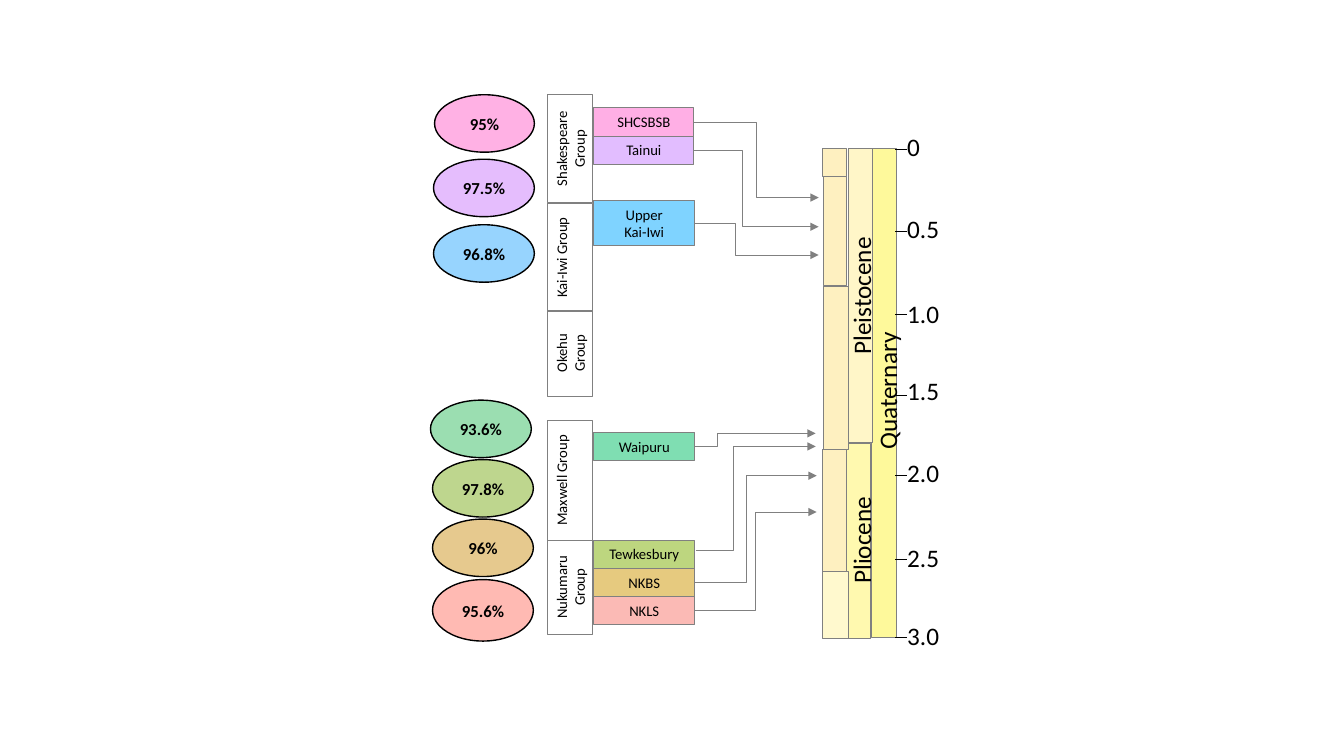
from lxml import etree
from pptx import Presentation
from pptx.dml.color import RGBColor
from pptx.enum.shapes import MSO_CONNECTOR as LINK, MSO_SHAPE as SHAPE
from pptx.enum.text import MSO_ANCHOR as ANCHOR, MSO_AUTO_SIZE as AUTO, PP_ALIGN as ALIGN
from pptx.oxml.ns import qn
from pptx.util import Inches, Pt

COLORS = {
    "black": "000000", "grey": "808080",
    "quaternary": "FEF99B", "pliocene": "FFF9AF", "pleistocene": "FFF6C8",
    "stage": "FEF0C0", "oldest stage": "FFF9CE",
    "SHCSBSB": "FF61CD", "Tainui": "C77CFF", "Upper\nKai-Iwi": "01A9FF",
    "Waipuru": "00BE67", "Tewkesbury": "7CAF00", "NKBS": "CE9600", "NKLS": "F9766D",
    "95%": "FFB1E4", "97.5%": "E5BDFD", "96.8%": "97D4FE", "93.6%": "9BDEB1",
    "97.8%": "BED68E", "96%": "E6C98E", "95.6%": "FFBAB3",
}

# label, top of its text, height of its tick
AGES = [("0", 1.25, 1.48), ("0.5", 2.07, 2.3), ("1.0", 2.91, 3.12), ("1.5", 3.67, 3.92),
        ("2.0", 4.49, 4.72), ("2.5", 5.33, 5.55), ("3.0", 6.1, 6.32)]
# colour, left, top, width, height
TIME_BLOCKS = [
    ("pliocene", 8.38, 4.4, 0.25, 1.93), ("pleistocene", 8.41, 1.47, 0.24, 2.92),
    ("oldest stage", 8.16, 5.67, 0.25, 0.66), ("stage", 8.17, 2.84, 0.24, 1.62),
    ("stage", 8.16, 4.46, 0.24, 1.21), ("stage", 8.17, 1.75, 0.23, 1.08),
    ("stage", 8.16, 1.47, 0.24, 0.28)]
# name, left, top, height
TIME_NAMES = [("Quaternary", 8.6, 1.48, 4.8), ("Pliocene", 8.34, 4.4, 1.92),
              ("Pleistocene", 8.34, 1.48, 2.91)]
# name, top, height
GROUPS = [("Shakespeare Group", 0.94, 1.07), ("Kai-Iwi Group", 2.02, 1.07),
          ("Okehu Group", 3.08, 0.85), ("Maxwell Group", 4.17, 1.19),
          ("Nukumaru Group", 5.36, 0.93)]
# name, top, width, height
FORMATIONS = [("NKLS", 5.92, 1, 0.28), ("NKBS", 5.64, 1, 0.28), ("Tewkesbury", 5.36, 1, 0.28),
              ("Waipuru", 4.29, 1, 0.28), ("Upper\nKai-Iwi", 1.99, 1, 0.45),
              ("Tainui", 1.35, 0.99, 0.28), ("SHCSBSB", 1.07, 0.99, 0.28)]
# start x and y, end x and y, share of the width before the bend
AGE_ARROWS = [
    (6.89, 6.06, 8.1, 5.08, 0.5), (6.89, 5.78, 8.1, 4.72, 0.423),
    (6.9, 5.46, 8.09, 4.43, 0.312), (6.89, 2.22, 8.12, 2.53, 0.33),
    (6.89, 4.43, 8.09, 4.3, 0.19), (6.88, 1.49, 8.12, 2.25, 0.387),
    (6.88, 1.21, 8.12, 1.96, 0.5)]
# share, left, top, width, height
SHARES = [("95.6%", 4.29, 5.75, 1, 0.61), ("96%", 4.29, 5.15, 1, 0.57),
          ("97.8%", 4.29, 4.56, 1, 0.57), ("93.6%", 4.27, 3.97, 1, 0.57),
          ("96.8%", 4.3, 2.23, 1, 0.57), ("97.5%", 4.3, 1.58, 1, 0.57),
          ("95%", 4.31, 0.94, 0.99, 0.57)]


def rgb(name):
    return RGBColor.from_string(COLORS[name])


def write(shape, text, size, align=ALIGN.CENTER, bold=False):
    frame = shape.text_frame
    frame.text = text
    frame.word_wrap = True
    frame.vertical_anchor = ANCHOR.TOP
    frame.auto_size = AUTO.SHAPE_TO_FIT_TEXT
    for paragraph in frame.paragraphs:
        paragraph.alignment = align
        for run in paragraph.runs:
            run.font.name = "Calibri"
            run.font.size = Pt(size)
            run.font.bold = bold
            run.font.color.rgb = rgb("black")


def add_block(slide, box, fill=None, line="grey", weight=0.5, kind=SHAPE.RECTANGLE):
    block = slide.shapes.add_shape(kind, *map(Inches, box))
    block.shadow.inherit = False
    if fill:
        block.fill.solid()
        block.fill.fore_color.rgb = rgb(fill)
    else:
        block.fill.background()
    block.line.color.rgb = rgb(line)
    block.line.width = Pt(weight)
    return block


def make_half_transparent(block):
    color = block.fill._xPr.find(qn("a:solidFill"))[0]
    etree.SubElement(color, qn("a:alpha"), val="50000")


def upright(left, top, width, height):
    """Box that covers the given area once it is turned by 270 degrees."""
    return left + (width - height) / 2, top + (height - width) / 2, height, width


def add_text(slide, text, box, align=ALIGN.LEFT):
    label = slide.shapes.add_textbox(*map(Inches, box))
    write(label, text, 18, align)
    return label


def add_line(slide, ends, color, kind=LINK.STRAIGHT):
    line = slide.shapes.add_connector(kind, *map(Inches, ends))
    line.line.color.rgb = rgb(color)
    line.line.width = Pt(0.5)
    etree.SubElement(line._element.spPr, qn("a:effectLst"))
    return line


def add_age_arrow(slide, ends, bend):
    arrow = add_line(slide, ends, "grey", LINK.ELBOW)
    etree.SubElement(arrow.line._get_or_add_ln(), qn("a:tailEnd"), type="triangle")
    adjustments = arrow._element.spPr.find(qn("a:prstGeom")).get_or_add_avLst()
    etree.SubElement(adjustments, qn("a:gd"), name="adj1", fmla=f"val {round(bend * 100000)}")


def add_time_scale(slide):
    for age, top, _ in AGES:
        add_text(slide, age, (8.9, top, 0.83, 0.46))
    add_block(slide, (8.64, 1.47, 0.25, 4.85), "quaternary")
    for _, _, tick in AGES:
        add_line(slide, (8.88, tick, 9, tick), "black")
    for fill, *box in TIME_BLOCKS:
        add_block(slide, box, fill)
    for name, left, top, height in TIME_NAMES:
        label = add_text(slide, name, upright(left, top, 0.34, height), ALIGN.CENTER)
        label.rotation = 270


def add_rock_column(slide):
    for name, top, height in GROUPS:
        group = add_block(slide, upright(5.43, top, 0.45, height), weight=0.75)
        group.rotation = 270
        write(group, name, 10.5)
    for name, top, width, height in FORMATIONS:
        formation = add_block(slide, (5.89, top, width, height), name, weight=0.75)
        make_half_transparent(formation)
        write(formation, name, 10.5)


def add_shares(slide):
    for share, *box in SHARES:
        oval = add_block(slide, box, share, "black", 1, SHAPE.OVAL)
        write(oval, share, 12, bold=True)
        oval.text_frame.auto_size = AUTO.NONE
        oval.text_frame.vertical_anchor = ANCHOR.MIDDLE


def main():
    deck = Presentation()
    deck.slide_width, deck.slide_height = Inches(13.33), Inches(7.5)
    slide = deck.slides.add_slide(deck.slide_layouts[6])
    add_time_scale(slide)
    add_rock_column(slide)
    for *ends, bend in AGE_ARROWS:
        add_age_arrow(slide, ends, bend)
    add_shares(slide)
    deck.save("out.pptx")


if __name__ == "__main__":
    main()
